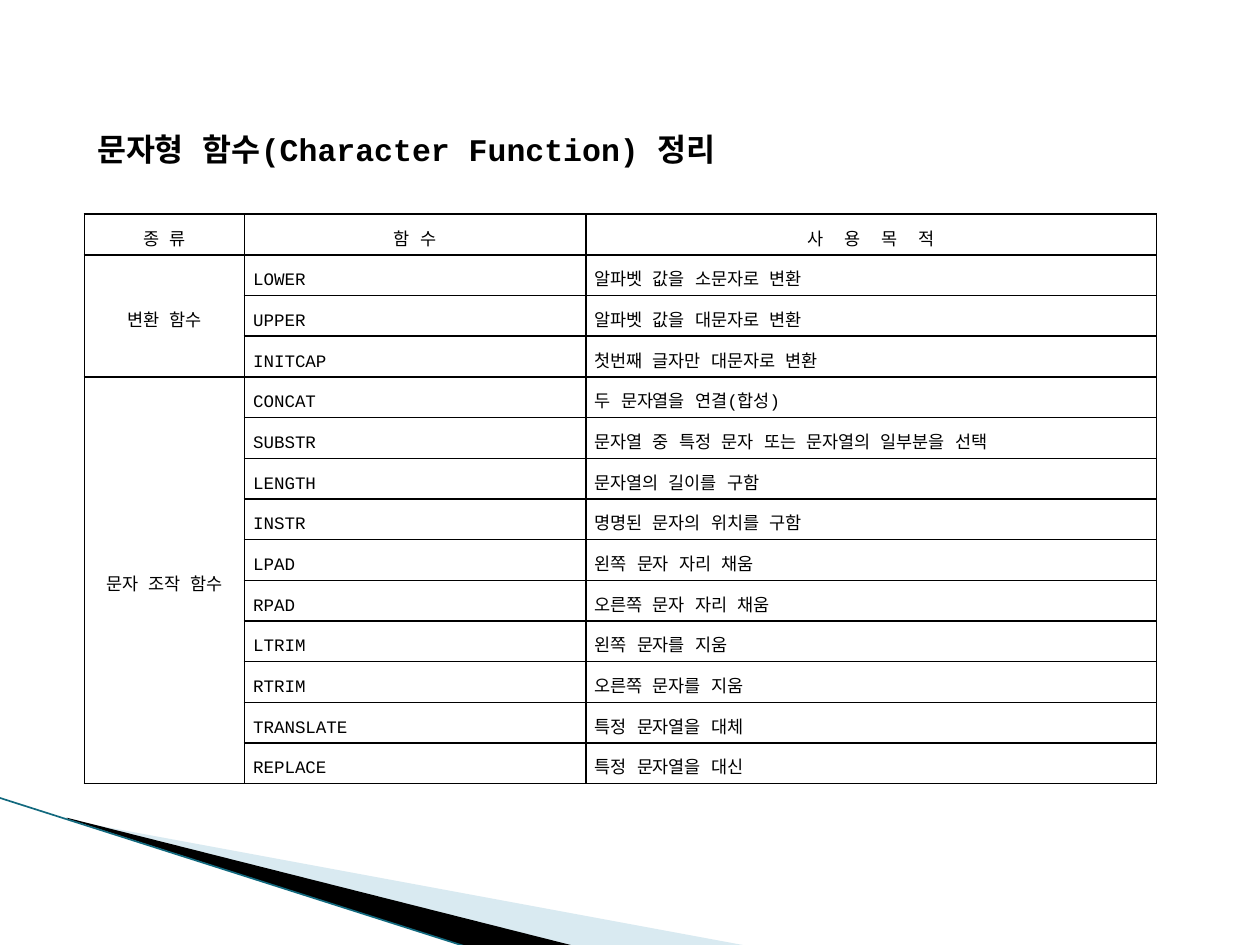
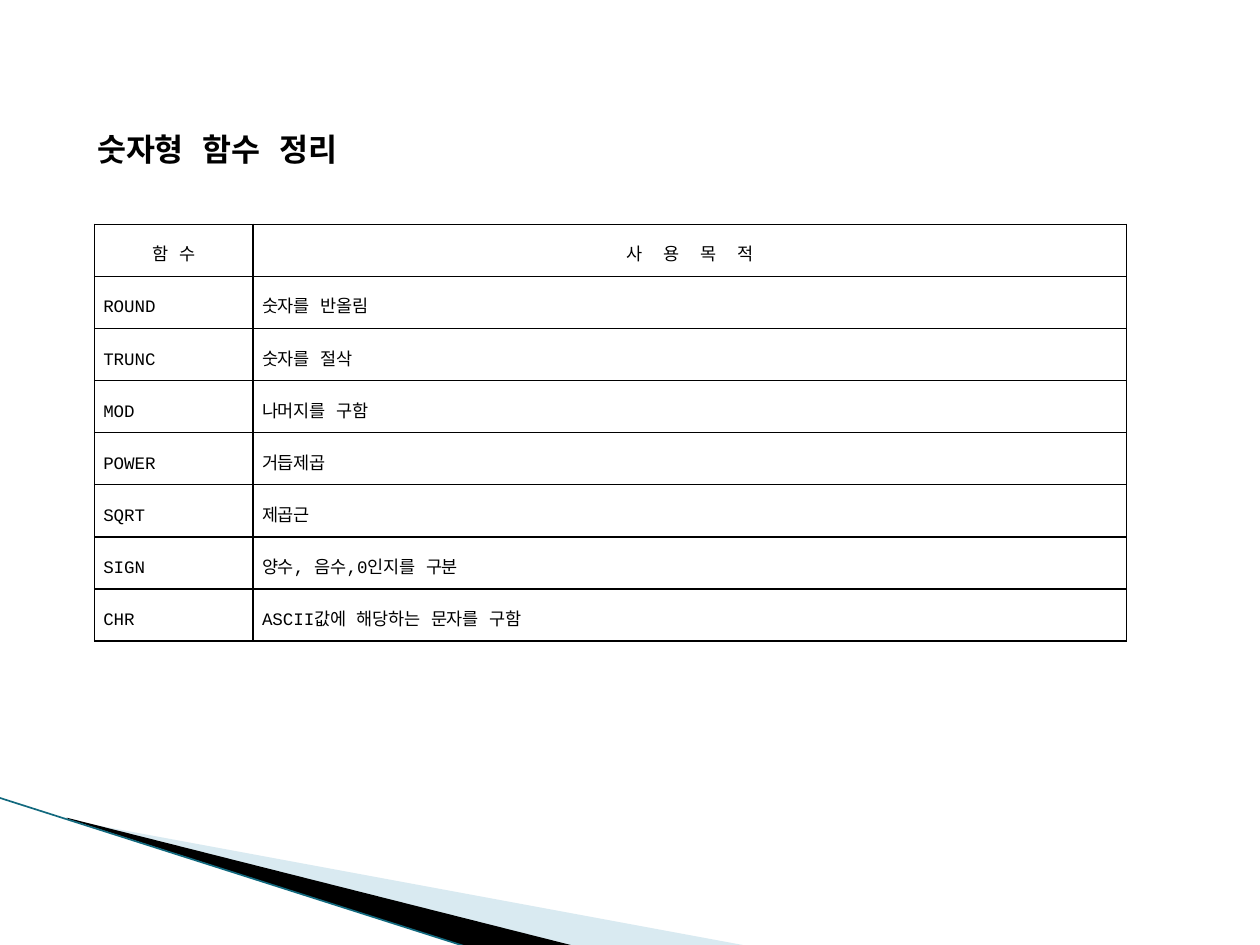
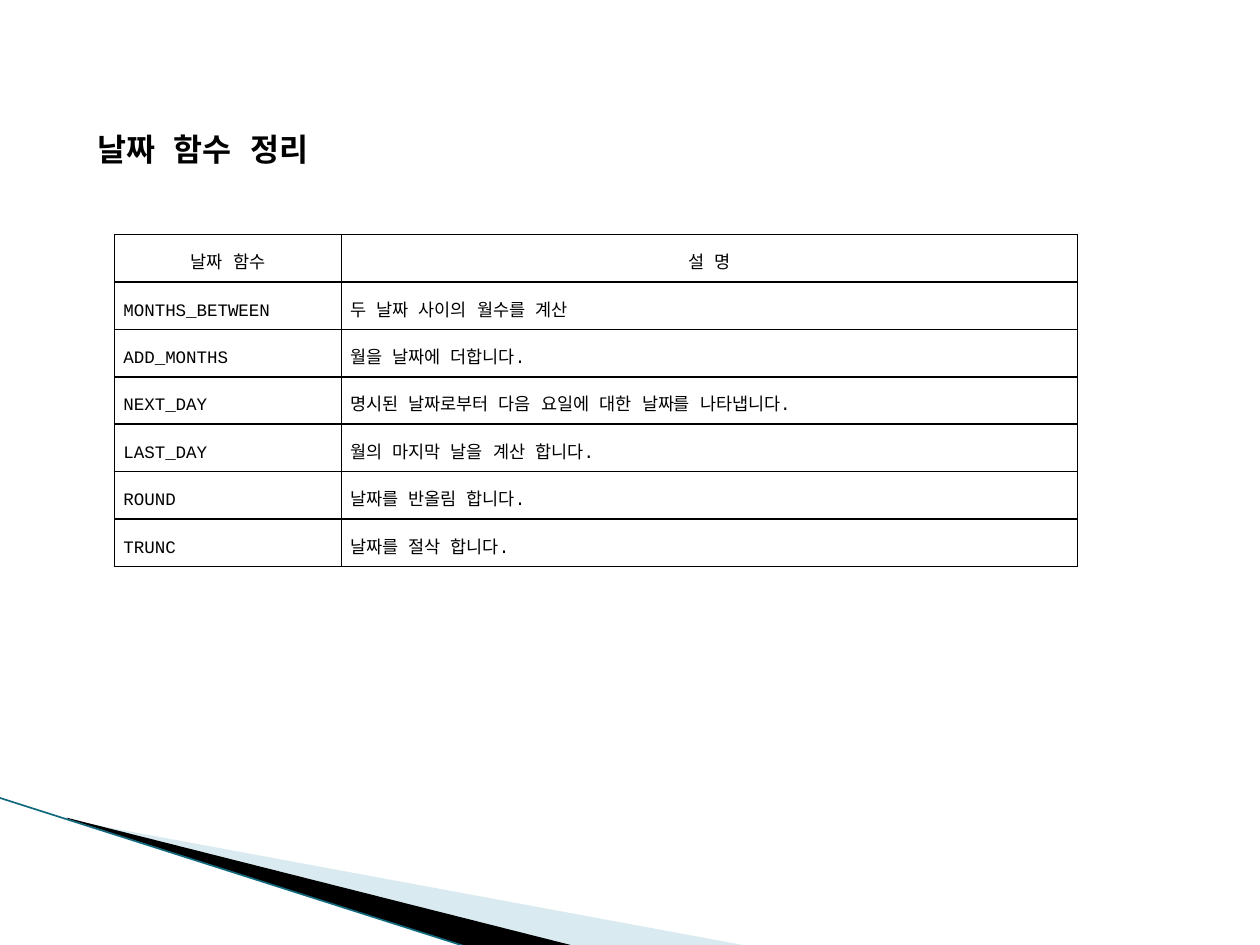
from dataclasses import dataclass
from typing import Optional

from lxml.etree import SubElement
from pptx import Presentation
from pptx.dml.color import RGBColor
from pptx.enum.shapes import MSO_CONNECTOR
from pptx.enum.text import MSO_ANCHOR, MSO_AUTO_SIZE, PP_ALIGN
from pptx.oxml import parse_xml
from pptx.oxml.ns import nsdecls, qn
from pptx.util import Inches, Pt


@dataclass(frozen=True)
class Theme:
    font: str = "Courier New"
    ink: str = "000000"
    pale: str = "A0CBDC"
    edge: str = "12697E"
    title_size: float = 18
    cell_size: float = 10
    cell_leading: float = 18
    border: float = 1
    edge_width: float = 0.95


@dataclass(frozen=True)
class Wedge:
    frame: tuple[float, float, float, float]
    points: tuple[tuple[float, float], ...]
    color: str
    opacity: int = 100


@dataclass(frozen=True)
class FunctionTable:
    title: str
    left: float
    top: float
    height: float
    columns: tuple[float, ...]
    rows: tuple[tuple[Optional[str], ...], ...]
    grouped: bool = False


THEME = Theme()

WEDGES = (
    Wedge((0.78, 5.47, 4.16, 1.58),
          ((0.55, 6.51), (5.95, 7.51), (4.56, 7.51), (0.55, 6.5)), THEME.pale, 40),
    Wedge((-0.06, 6.33, 4.16, 0.92),
          ((0.53, 6.49), (4.57, 7.51), (3.72, 7.52), (0.54, 6.5)), THEME.ink),
)

TABLES = (
    FunctionTable(
        "문자형 함수(Character Function) 정리", 0.67, 1.7, 4.52, (1.27, 2.71, 4.53),
        (
            ("종 류", "함 수", "사  용  목  적"),
            ("변환 함수", "LOWER", "알파벳 값을 소문자로 변환"),
            (None, "UPPER", "알파벳 값을 대문자로 변환"),
            (None, "INITCAP", "첫번째 글자만 대문자로 변환"),
            ("문자 조작 함수", "CONCAT", "두 문자열을 연결(합성)"),
            (None, "SUBSTR", "문자열 중 특정 문자 또는 문자열의 일부분을 선택"),
            (None, "LENGTH", "문자열의 길이를 구함"),
            (None, "INSTR", "명명된 문자의 위치를 구함"),
            (None, "LPAD", "왼쪽 문자 자리 채움"),
            (None, "RPAD", "오른쪽 문자 자리 채움"),
            (None, "LTRIM", "왼쪽 문자를 지움"),
            (None, "RTRIM", "오른쪽 문자를 지움"),
            (None, "TRANSLATE", "특정 문자열을 대체"),
            (None, "REPLACE", "특정 문자열을 대신"),
        ),
        grouped=True,
    ),
    FunctionTable(
        "숫자형 함수 정리", 0.75, 1.78, 3.31, (1.26, 6.93),
        (
            ("함 수", "사  용  목  적"),
            ("ROUND", "숫자를 반올림"),
            ("TRUNC", "숫자를 절삭"),
            ("MOD", "나머지를 구함"),
            ("POWER", "거듭제곱"),
            ("SQRT", "제곱근"),
            ("SIGN", "양수, 음수,0인지를 구분"),
            ("CHR", "ASCII값에 해당하는 문자를 구함"),
        ),
    ),
    FunctionTable(
        "날짜 함수 정리", 0.91, 1.86, 2.64, (1.8, 5.84),
        (
            ("날짜 함수", "설 명"),
            ("MONTHS_BETWEEN", "두 날짜 사이의 월수를 계산"),
            ("ADD_MONTHS", "월을 날짜에 더합니다."),
            ("NEXT_DAY", "명시된 날짜로부터 다음 요일에 대한 날짜를 나타냅니다."),
            ("LAST_DAY", "월의 마지막 날을 계산 합니다."),
            ("ROUND", "날짜를 반올림 합니다."),
            ("TRUNC", "날짜를 절삭 합니다."),
        ),
    ),
)


def add_run(p, text: str, size: float, bold: bool = False) -> None:
    r = p.add_run()
    r.text = text
    r.font.name = THEME.font
    r.font.size = Pt(size)
    r.font.bold = bold
    r.font.color.rgb = RGBColor.from_string(THEME.ink)
    SubElement(r.font._element, qn("a:ea"), typeface=THEME.font)


def set_frame(sp, frame: tuple[float, float, float, float]) -> None:
    left, top, width, height = (Inches(v) for v in frame)
    dx, dy = sp.left - left, sp.top - top
    outline = next(sp.element.iter(qn("a:path")))
    outline.set("w", str(width))
    outline.set("h", str(height))
    for pt in outline.iter(qn("a:pt")):
        pt.set("x", str(int(pt.get("x")) + dx))
        pt.set("y", str(int(pt.get("y")) + dy))
    sp.left, sp.top, sp.width, sp.height = left, top, width, height


def draw_wedge(s, wedge: Wedge) -> None:
    points = [(Inches(x), Inches(y)) for x, y in wedge.points]
    builder = s.shapes.build_freeform(*points[0], scale=1.0)
    builder.add_line_segments(points[1:], close=True)
    sp = builder.convert_to_shape()
    set_frame(sp, wedge.frame)
    sp.shadow.inherit = False
    sp.fill.solid()
    sp.fill.fore_color.rgb = RGBColor.from_string(wedge.color)
    sp.line.fill.background()
    if wedge.opacity < 100:
        color = sp.element.spPr.find(qn("a:solidFill")).find(qn("a:srgbClr"))
        SubElement(color, qn("a:alpha"), val=str(wedge.opacity * 1000))


def draw_backdrop(s) -> None:
    for wedge in WEDGES:
        draw_wedge(s, wedge)
    edge = s.shapes.add_connector(
        MSO_CONNECTOR.STRAIGHT, Inches(-0.01), Inches(6.33), Inches(3.72), Inches(7.52))
    edge.line.color.rgb = RGBColor.from_string(THEME.edge)
    edge.line.width = Pt(THEME.edge_width)
    SubElement(edge.element.spPr, qn("a:effectLst"))


def draw_title(s, text: str) -> None:
    sp = s.shapes.title
    sp.left, sp.top, sp.width, sp.height = (Inches(v) for v in (0.67, 0.98, 8.5, 0.4))
    tf = sp.text_frame
    tf.word_wrap = True
    tf.auto_size = MSO_AUTO_SIZE.SHAPE_TO_FIT_TEXT
    tf.vertical_anchor = MSO_ANCHOR.TOP
    p = tf.paragraphs[0]
    p.alignment = PP_ALIGN.LEFT
    add_run(p, text, THEME.title_size, bold=True)


def format_cell(cell) -> None:
    cell.margin_left = cell.margin_right = Inches(0.07)
    cell.margin_top = cell.margin_bottom = 0
    cell.vertical_anchor = MSO_ANCHOR.MIDDLE
    cell.fill.background()
    tc_pr = cell._tc.get_or_add_tcPr()
    for i, side in enumerate(("lnL", "lnR", "lnT", "lnB")):
        tc_pr.insert(i, parse_xml(
            f'<a:{side} {nsdecls("a")} w="{Pt(THEME.border)}"><a:solidFill>'
            f'<a:srgbClr val="{THEME.ink}"/></a:solidFill></a:{side}>'))


def merge_groups(table, rows: tuple[tuple[Optional[str], ...], ...]) -> None:
    starts = [i for i, row in enumerate(rows) if row[0] is not None]
    for start, end in zip(starts, starts[1:] + [len(rows)]):
        if end - start > 1:
            table.cell(start, 0).merge(table.cell(end - 1, 0))


def draw_table(s, spec: FunctionTable) -> None:
    table = s.shapes.add_table(
        len(spec.rows), len(spec.columns), Inches(spec.left), Inches(spec.top),
        Inches(sum(spec.columns)), Inches(spec.height)).table
    table.first_row = table.horz_banding = False
    for column, width in zip(table.columns, spec.columns):
        column.width = Inches(width)
    for row in table.rows:
        row.height = Inches(spec.height / len(spec.rows))
    for i, row in enumerate(spec.rows):
        for j, text in enumerate(row):
            cell = table.cell(i, j)
            format_cell(cell)
            if text is None:
                continue
            centred = i == 0 or (spec.grouped and j == 0)
            p = cell.text_frame.paragraphs[0]
            p.alignment = PP_ALIGN.CENTER if centred else PP_ALIGN.JUSTIFY
            p.line_spacing = Pt(THEME.cell_leading)
            add_run(p, text, THEME.cell_size)
    merge_groups(table, spec.rows)


def main() -> None:
    prs = Presentation()
    prs.slide_width, prs.slide_height = Inches(10), Inches(7.5)
    for spec in TABLES:
        s = prs.slides.add_slide(prs.slide_layouts[5])
        draw_backdrop(s)
        draw_title(s, spec.title)
        draw_table(s, spec)
    prs.save("out.pptx")


main()
